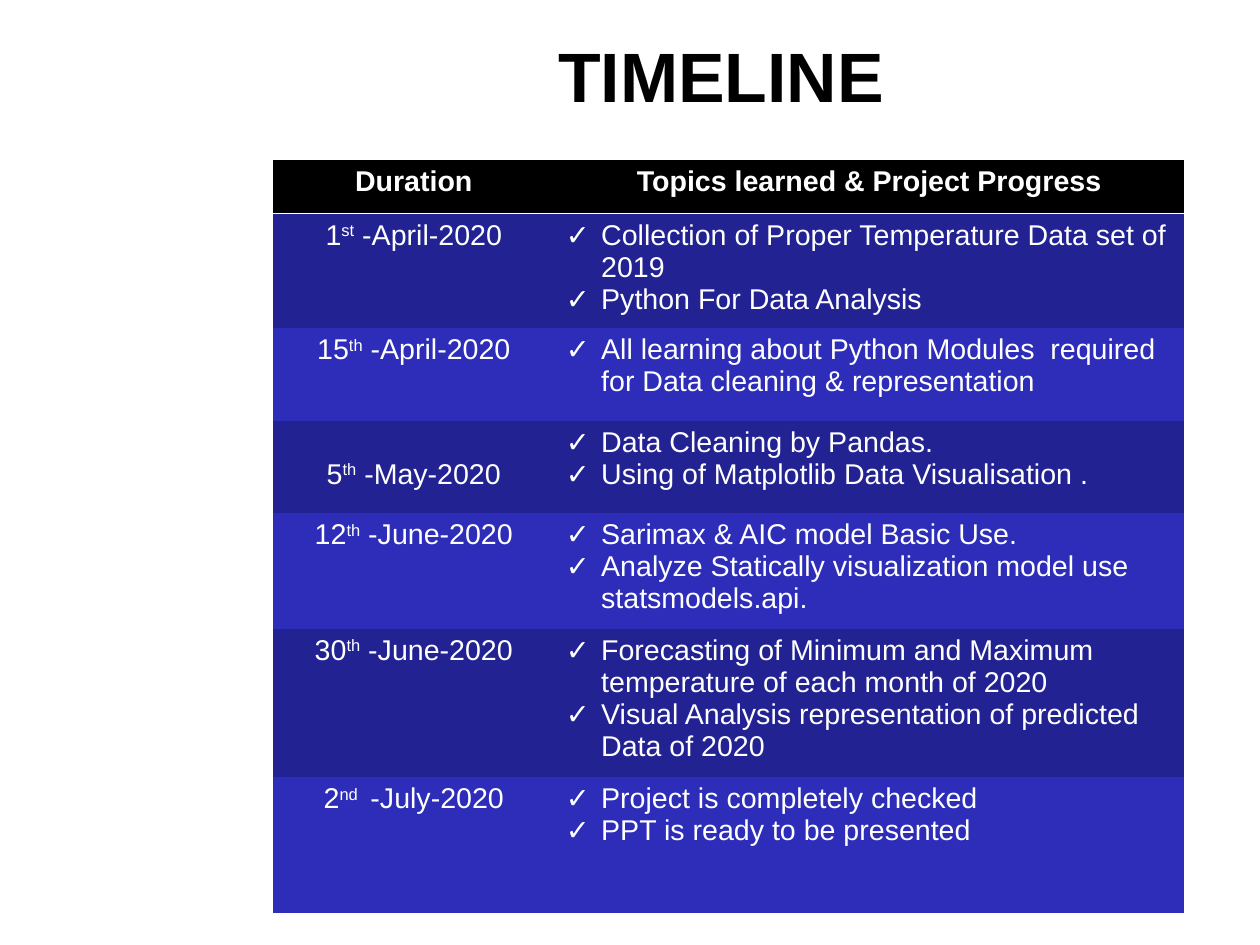
"""Build the project timeline slide: a title above a two-column table."""
from lxml.etree import SubElement
from pptx import Presentation
from pptx.dml.color import RGBColor
from pptx.enum.text import MSO_ANCHOR as Anchor, PP_ALIGN as Align
from pptx.oxml import parse_xml
from pptx.oxml.ns import nsdecls, qn
from pptx.util import Cm, Inches, Pt

WIDTH_CM, HEIGHT_CM = 28, 21
TITLE = "TIMELINE"
HEADINGS = ("Duration", "Topics learned & Project Progress")
TIMELINE = [
    (("1", "st", " -April-2020"),
     ["Collection of Proper Temperature Data set of 2019", "Python For Data Analysis"]),
    (("15", "th", " -April-2020"),
     ["All learning about Python Modules  required for Data cleaning & representation"]),
    (("5", "th", " -May-2020"),
     ["Data Cleaning by Pandas.", "Using of Matplotlib Data Visualisation ."]),
    (("12", "th", " -June-2020"),
     ["Sarimax & AIC model Basic Use.",
      "Analyze Statically visualization model use statsmodels.api."]),
    (("30", "th", " -June-2020"),
     ["Forecasting of Minimum and Maximum temperature of each month of 2020",
      "Visual Analysis representation of predicted Data of 2020"]),
    (("2", "nd ", " -July-2020"),
     ["Project is completely checked", "PPT is ready to be presented"]),
]
COLUMNS = (2.46, 5.51)
ROWS = (0.47, 1, 0.81, 0.81, 1.01, 1.3, 1.19)
TABLE_LEFT, TABLE_TOP = 2.39, 1.4
LOWERED_ROW, LINE_HEIGHT = 3, 0.28
HEADER_FILL, BAND_FILLS = "000000", ("222293", "2D2DB9")
WHITE, BLACK = "FFFFFF", "000000"
PLAIN_STYLE = "{2D5ABB26-0587-4C30-8999-92F81FD0307C}"
CELL_MARGINS = {"margin_left": 0.1, "margin_right": 0.1,
                "margin_top": 0.05, "margin_bottom": 0.05}


def rgb(value):
    return RGBColor.from_string(value)


def apply(target, values):
    for name, value in values.items():
        setattr(target, name, value)


def write(para, parts, color, size=18, bold=False):
    for index, text in enumerate(parts):
        span = para.add_run()
        span.text = text
        apply(span.font, {"name": "Arial", "size": Pt(size), "bold": bold})
        span.font.color.rgb = rgb(color)
        if index == 1:
            span.font._element.set("baseline", "30000")


def add_check(para):
    props = para._p.get_or_add_pPr()
    props.set("marL", str(Inches(0.31)))
    props.set("indent", str(-Inches(0.31)))
    tint = SubElement(props, qn("a:buClr"))
    SubElement(tint, qn("a:srgbClr"), val=WHITE)
    SubElement(props, qn("a:buFont"), typeface="Arial")
    SubElement(props, qn("a:buChar"), char="✓")


def add_rule_below(cell):
    cell._tc.get_or_add_tcPr().insert(0, parse_xml(
        f'<a:lnB {nsdecls("a")} w="{Pt(0.96)}"><a:solidFill>'
        f'<a:srgbClr val="{WHITE}"/></a:solidFill></a:lnB>'))


def fill_cell(cell, paragraphs, color, bold=False, checked=False):
    apply(cell, {name: Inches(value) for name, value in CELL_MARGINS.items()})
    cell.fill.solid()
    cell.fill.fore_color.rgb = rgb(color)
    for index, parts in enumerate(paragraphs):
        para = cell.text_frame.add_paragraph() if index else cell.text_frame.paragraphs[0]
        para.alignment = Align.LEFT if checked else Align.CENTER
        if checked:
            add_check(para)
        write(para, parts, WHITE, bold=bold)


def add_title(page):
    box = page.shapes.add_textbox(Inches(1.84), 0, Inches(8.94), Inches(1.38))
    frame = box.text_frame
    apply(frame, dict.fromkeys(CELL_MARGINS, 0))
    apply(frame, {"word_wrap": True, "vertical_anchor": Anchor.MIDDLE})
    para = frame.paragraphs[0]
    apply(para, {"alignment": Align.CENTER, "line_spacing": 0.93})
    write(para, [TITLE], BLACK, size=44, bold=True)


def add_timeline(page):
    table = page.shapes.add_table(
        len(ROWS), len(COLUMNS), Inches(TABLE_LEFT), Inches(TABLE_TOP),
        Inches(sum(COLUMNS)), Inches(sum(ROWS))).table
    apply(table, {"first_row": False, "horz_banding": False})
    table._tbl.tblPr.find(qn("a:tableStyleId")).text = PLAIN_STYLE
    for column, width in zip(table.columns, COLUMNS):
        column.width = Inches(width)
    for row, height in zip(table.rows, ROWS):
        row.height = Inches(height)
    for index, heading in enumerate(HEADINGS):
        fill_cell(table.cell(0, index), [[heading]], HEADER_FILL, bold=True)
        add_rule_below(table.cell(0, index))
    for index, (date, topics) in enumerate(TIMELINE, 1):
        color = BAND_FILLS[(index - 1) % 2]
        fill_cell(table.cell(index, 0), [date], color)
        fill_cell(table.cell(index, 1), [[topic] for topic in topics], color, checked=True)
    table.cell(LOWERED_ROW, 0).margin_top = Inches(CELL_MARGINS["margin_top"] + LINE_HEIGHT)


def main():
    deck = Presentation()
    apply(deck, {"slide_width": Cm(WIDTH_CM), "slide_height": Cm(HEIGHT_CM)})
    page = deck.slides.add_slide(deck.slide_layouts[6])
    add_title(page)
    add_timeline(page)
    deck.save("out.pptx")


if __name__ == "__main__":
    main()
